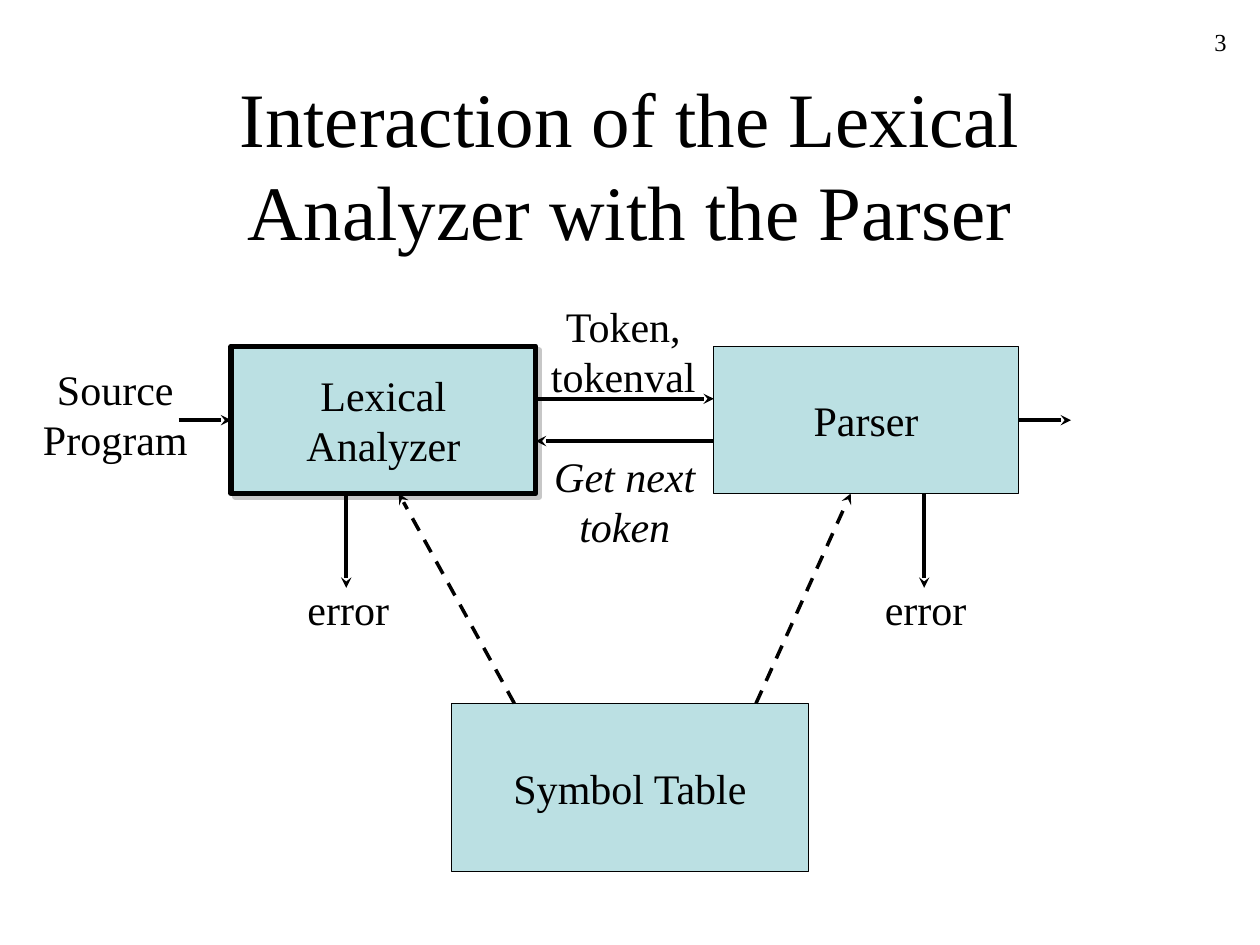
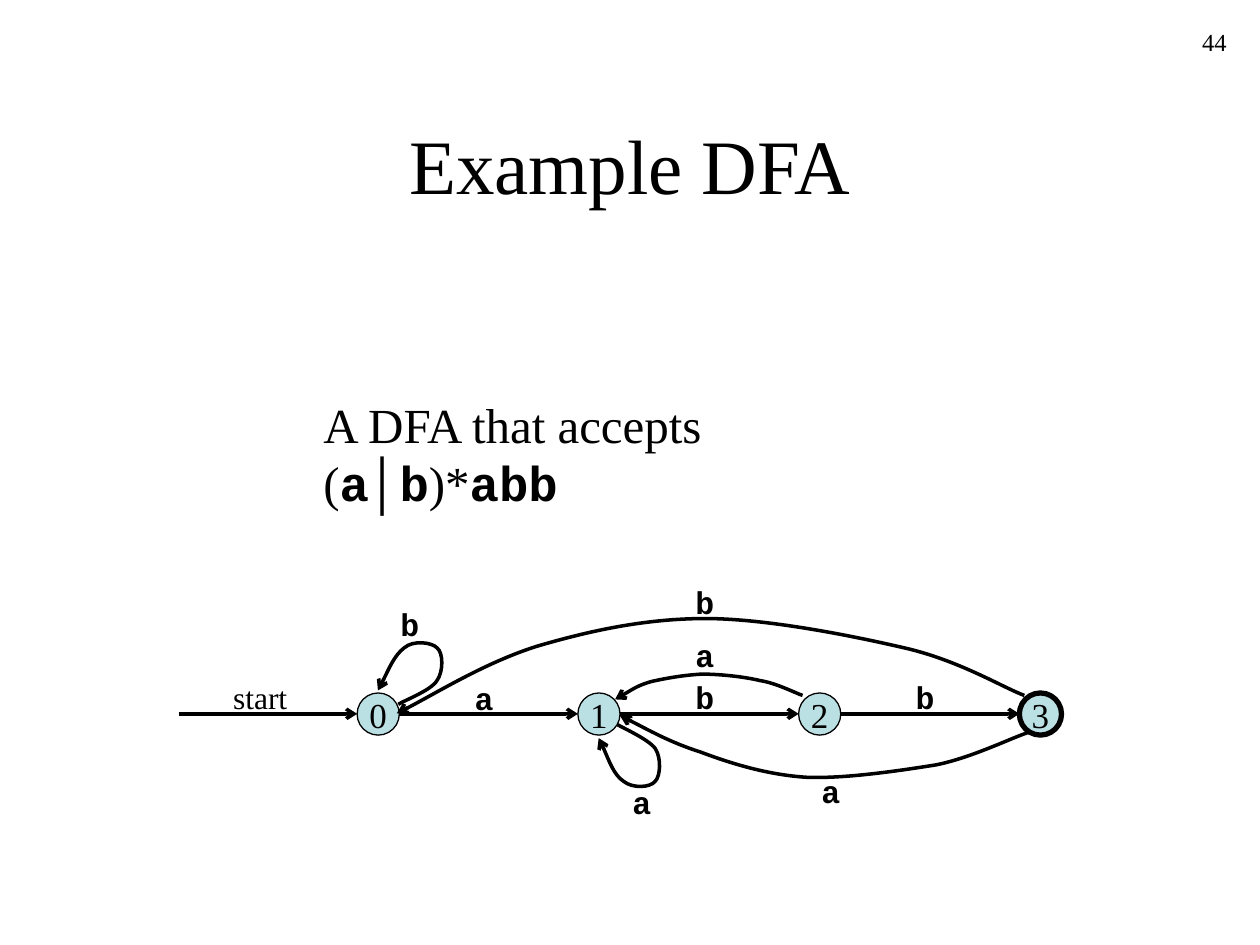
from lxml.etree import SubElement
from pptx import Presentation
from pptx.dml.color import RGBColor
from pptx.enum.dml import MSO_LINE
from pptx.enum.shapes import MSO_CONNECTOR, MSO_SHAPE
from pptx.enum.text import MSO_ANCHOR, MSO_AUTO_SIZE, PP_ALIGN
from pptx.oxml.ns import qn
from pptx.util import Cm, Pt

BLACK = RGBColor.from_string("000000")
PALE_BLUE = RGBColor.from_string("BBE0E3")
SERIF, MONO, SANS = "Times New Roman", "Courier New", "Arial"


def write(box, runs, size, align=PP_ALIGN.CENTER, anchor=MSO_ANCHOR.TOP, wrap=False):
    """Fill a shape with runs of (text, font, bold, italic)."""
    frame = box.text_frame
    frame.word_wrap = wrap
    frame.auto_size = MSO_AUTO_SIZE.NONE
    frame.vertical_anchor = anchor
    para = frame.paragraphs[0]
    para.alignment = align
    for text, font, bold, italic in runs:
        for number, part in enumerate(text.split("\n")):
            if number:
                para.add_line_break()
            span = para.add_run()
            span.text = part
            span.font.name = font
            span.font.size = Pt(size)
            span.font.bold = bold
            span.font.italic = italic
            span.font.color.rgb = BLACK


def make_arrow(shape, head, dashed=False):
    """Give a connector or curve a black line with an arrowhead and no shadow."""
    shape.line.color.rgb = BLACK
    shape.line.width = Pt(2)
    if dashed:
        shape.line.dash_style = MSO_LINE.DASH
    properties = shape.element.spPr
    SubElement(properties.find(qn("a:ln")), qn("a:tailEnd"), type=head)
    SubElement(properties, qn("a:effectLst"))


deck = Presentation()
deck.slide_width, deck.slide_height = Cm(25.4), Cm(19.05)

# Titles and page numbers
pages = []
for title, number in [("Interaction of the Lexical Analyzer with the Parser", "3"),
                      ("Example DFA", "44")]:
    page = deck.slides.add_slide(deck.slide_layouts[5])
    heading = page.shapes.title
    heading.left, heading.top = Cm(1.9), Cm(1.7)
    heading.width, heading.height = Cm(21.6), Cm(3.18)
    write(heading, [(title, SERIF, False, False)], 44, anchor=MSO_ANCHOR.MIDDLE, wrap=True)
    number_box = page.shapes.add_textbox(Cm(19.69), Cm(0.42), Cm(5.29), Cm(1.27))
    write(number_box, [(number, SERIF, False, False)], 14, PP_ALIGN.RIGHT, wrap=True)
    pages.append(page)
parser_page, automaton_page = pages

# Boxes and state circles
top, bottom = 6.98, 9.95
nodes = [
    (parser_page, MSO_SHAPE.RECTANGLE, "Lexical\nAnalyzer", 4.66, top, 6.14, bottom - top, 24, 3),
    (parser_page, MSO_SHAPE.RECTANGLE, "Parser", 14.39, top, 6.14, bottom - top, 24, 0.75),
    (parser_page, MSO_SHAPE.RECTANGLE, "Symbol Table", 9.1, 14.18, 7.2, 3.39, 24, 0.75),
]
state_left, state_step, state_size, arrow_length = 7.2, 4.45, 0.85, 3.6
for state in range(4):
    nodes.append((automaton_page, MSO_SHAPE.OVAL, str(state), state_left + state * state_step,
                  13.97, state_size, state_size, 20, 3 if state == 3 else 0.75))
for page, kind, text, x, y, width, height, size, border in nodes:
    node = page.shapes.add_shape(kind, Cm(x), Cm(y), Cm(width), Cm(height))
    node.shadow.inherit = False
    node.fill.solid()
    node.fill.fore_color.rgb = PALE_BLUE
    node.line.color.rgb = BLACK
    node.line.width = Pt(border)
    write(node, [(text, SERIF, False, False)], size, anchor=MSO_ANCHOR.MIDDLE)
    if text.startswith("Lexical"):
        effects = node.element.spPr.find(qn("a:effectLst"))
        shadow = SubElement(effects, qn("a:outerShdw"), dist="38100", dir="2700000",
                            algn="ctr", rotWithShape="0")
        tint = SubElement(shadow, qn("a:srgbClr"), val="808080")
        SubElement(tint, qn("a:alpha"), val="43000")

# Straight arrows: start, end, dashed
arrows = [(parser_page, "stealth", *ends) for ends in [
    (10.8, 8.04, 14.39, 8.04, False),
    (14.39, 8.89, 10.8, 8.89, False),
    (3.6, 8.47, 4.66, 8.47, False),
    (20.53, 8.47, 21.59, 8.47, False),
    (6.98, bottom, 6.98, 11.85, False),
    (18.63, bottom, 18.63, 11.85, False),
    (10.37, 14.18, 8.04, bottom, True),
    (15.24, 14.18, 17.15, bottom, True),
]]
for state in range(4):
    x = state_left + state * state_step
    arrows.append((automaton_page, "arrow", x - arrow_length, 14.39, x, 14.39, False))
for page, head, x1, y1, x2, y2, dashed in arrows:
    arrow = page.shapes.add_connector(MSO_CONNECTOR.STRAIGHT, Cm(x1), Cm(y1), Cm(x2), Cm(y2))
    make_arrow(arrow, head, dashed)

# Curved transitions: a start, then two control points and an end for each piece
transitions = [
    # 0 to 0
    [(8.03, 14.2), (8.15, 14.12), (8.69, 13.92), (8.81, 13.72),
     (8.94, 13.54), (8.94, 13.16), (8.81, 13.06),
     (8.71, 12.95), (8.33, 12.9), (8.15, 13.06),
     (7.95, 13.21), (7.72, 13.74), (7.62, 13.92)],
    # 3 to 0
    [(20.65, 14.02), (20.24, 13.87), (19.38, 13.34), (18.31, 13.08),
     (17.25, 12.83), (15.47, 12.47), (14.22, 12.47),
     (12.98, 12.47), (11.84, 12.73), (10.82, 13.03),
     (9.78, 13.36), (8.59, 14.1), (8, 14.38)],
    # 1 to 1
    [(12.45, 14.61), (12.57, 14.68), (13.08, 14.91), (13.21, 15.09),
     (13.34, 15.29), (13.31, 15.65), (13.21, 15.75),
     (13.11, 15.88), (12.75, 15.9), (12.57, 15.75),
     (12.37, 15.62), (12.17, 15.06), (12.07, 14.88)],
    # 2 to 1
    [(16.18, 14.02), (16.03, 13.97), (15.65, 13.77), (15.32, 13.72),
     (14.99, 13.64), (14.5, 13.59), (14.15, 13.59),
     (13.79, 13.61), (13.44, 13.67), (13.13, 13.74),
     (12.85, 13.82), (12.55, 14.02), (12.4, 14.1)],
    # 3 to 1
    [(20.75, 14.76), (20.42, 14.86), (19.61, 15.27), (18.87, 15.42),
     (18.11, 15.54), (17.04, 15.7), (16.26, 15.67),
     (15.47, 15.62), (14.73, 15.39), (14.12, 15.16),
     (13.49, 14.96), (12.83, 14.58), (12.5, 14.43)],
]
for points in transitions:
    builder = automaton_page.shapes.build_freeform(*[Cm(value) for value in points[0]])
    builder.add_line_segments([(Cm(x), Cm(y)) for x, y in points[1:]], close=False)
    curve = builder.convert_to_shape()
    curve.fill.background()
    make_arrow(curve, "arrow")
    # Turn every three straight segments into one Bézier piece
    outline = curve.element.find(".//" + qn("a:path"))
    segments = outline.findall(qn("a:lnTo"))
    for first in range(0, len(segments), 3):
        bezier = SubElement(outline, qn("a:cubicBezTo"))
        for segment in segments[first:first + 3]:
            bezier.append(segment[0])
            outline.remove(segment)

# Labels of the parser diagram
for text, x, y, width, height, italic in [
    ("Source\nProgram", 0.61, 7.2, 3.43, 2.29, False),
    ("Token,\ntokenval", 10.85, 5.93, 3.43, 2.29, False),
    ("Get next\ntoken", 10.92, 8.95, 3.35, 2.29, True),
    ("error", 5.94, 11.64, 2.16, 1.27, False),
    ("error", 17.58, 11.64, 2.16, 1.27, False),
]:
    label = parser_page.shapes.add_textbox(Cm(x), Cm(y), Cm(width), Cm(height))
    write(label, [(text, SERIF, False, italic)], 24)

# Labels of the automaton
for text, x, y in [
    ("start", 4.45, 13.54), ("a", 9.32, 13.56), ("b", 13.77, 13.54), ("b", 18.21, 13.54),
    ("b", 7.82, 12.07), ("b", 13.77, 11.63), ("a", 13.77, 12.7),
    ("a", 12.5, 15.67), ("a", 16.31, 15.44),
]:
    is_symbol = text != "start"
    label = automaton_page.shapes.add_textbox(Cm(x), Cm(y), Cm(0.89 if is_symbol else 1.6), Cm(1.02))
    write(label, [(text, MONO if is_symbol else SERIF, is_symbol, False)], 18, PP_ALIGN.LEFT)

# Accepted language
language = automaton_page.shapes.add_textbox(Cm(6.27), Cm(7.82), Cm(12.3), Cm(1.45))
write(language, [
    ("A DFA that accepts (", SERIF, False, False),
    ("a", MONO, True, False),
    ("│", SANS, False, False),
    ("b", MONO, True, False),
    (")*", SERIF, False, False),
    ("abb", MONO, True, False),
], 28, PP_ALIGN.LEFT, wrap=True)

deck.save("out.pptx")
